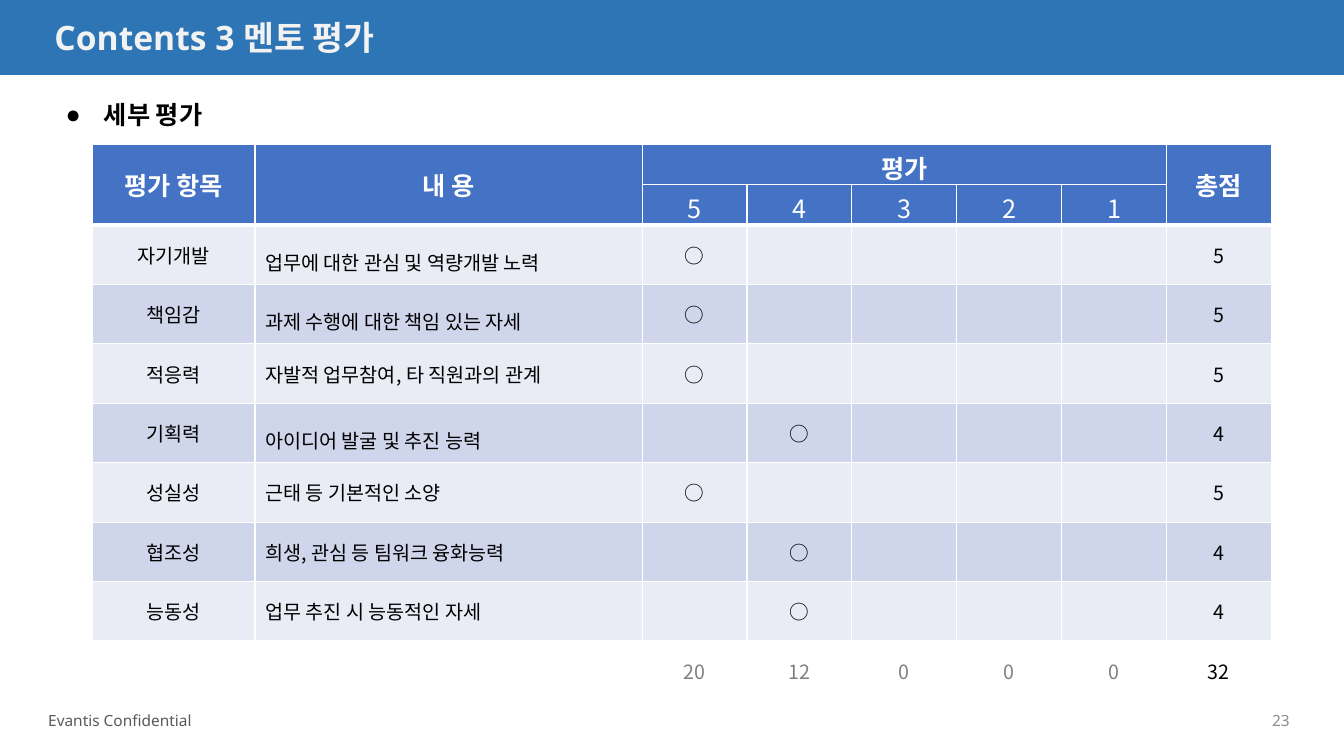
from lxml.etree import SubElement
from pptx import Presentation
from pptx.dml.color import RGBColor
from pptx.enum.shapes import MSO_SHAPE
from pptx.enum.text import MSO_ANCHOR, MSO_AUTO_SIZE, PP_ALIGN
from pptx.oxml import parse_xml
from pptx.oxml.ns import nsdecls, qn
from pptx.util import Inches, Pt

TITLE = "Contents 3 멘토 평가"
POINT = "세부 평가"
FOOT = "Evantis Confidential"
PAGE = "23"
MARKS = [5, 4, 3, 2, 1]
HEADS = [(0, 0, 1, 0, "평가 항목"), (0, 1, 1, 1, "내 용"),
         (0, 2, 0, 6, "평가"), (0, 7, 1, 7, "총점")]
ITEMS = [
    ("자기개발", "업무에 대한 관심 및 역량개발 노력", 5, 1.5),
    ("책임감", "과제 수행에 대한 책임 있는 자세", 5, 1.5),
    ("적응력", "자발적 업무참여, 타 직원과의 관계", 5, 1),
    ("기획력", "아이디어 발굴 및 추진 능력", 4, 1.5),
    ("성실성", "근태 등 기본적인 소양", 5, 1),
    ("협조성", "희생, 관심 등 팀워크 융화능력", 4, 1),
    ("능동성", "업무 추진 시 능동적인 자세", 4, 1),
]
COLS = [1.61, 3.84] + [1.04] * 6
ROWS = [0.39] * 2 + [0.59] * 8

WHITE = RGBColor(0xFF, 0xFF, 0xFF)
BLACK = RGBColor(0, 0, 0)
BAND = RGBColor(0x2E, 0x75, 0xB5)
HEAD = RGBColor(0x44, 0x72, 0xC4)
PALE = RGBColor(0xE9, 0xEB, 0xF5)
DEEP = RGBColor(0xCF, 0xD5, 0xEA)
GRAY = RGBColor(0x80, 0x80, 0x80)
INK = RGBColor(0x59, 0x59, 0x59)
SOFT = RGBColor(0x8C, 0x8C, 0x8C)
SNOW = RGBColor(0xF2, 0xF2, 0xF2)
SANS = "Noto Sans"
HAN = "Noto Sans CJK KR"


def write(frame, text, color, align=PP_ALIGN.LEFT, **form):
    para = frame.paragraphs[0]
    para.alignment = align
    run = para.add_run()
    run.text = text
    for key, value in form.items():
        setattr(run.font, key, value)
    run.font.color.rgb = color
    SubElement(run.font._element, qn("a:ea"), typeface=HAN)
    return para


def place(shape, left, top, width, height):
    spots = {"left": left, "top": top, "width": width, "height": height}
    for key, value in spots.items():
        setattr(shape, key, Inches(value))


def rule(cell, thick):
    props = cell._tc.get_or_add_tcPr()
    for spot, side in enumerate("LRTB"):
        width = Pt(thick.get(side, 1))
        line = parse_xml(
            f'<a:ln{side} {nsdecls("a")} w="{width}"><a:solidFill>'
            f'<a:srgbClr val="{WHITE}"/></a:solidFill></a:ln{side}>')
        props.insert(spot, line)


deck = Presentation()
deck.slide_width, deck.slide_height = Inches(13.33), Inches(7.5)
slide = deck.slides.add_slide(deck.slide_layouts[1])

band = slide.shapes.add_shape(MSO_SHAPE.RECTANGLE, 0, 0, deck.slide_width, Inches(0.74))
band.shadow.inherit = False
band.fill.solid()
band.fill.fore_color.rgb = BAND
band.line.color.rgb = BAND
band.line.width = Pt(1)
slide.shapes._spTree.insert(2, band._element)

title, body = slide.placeholders
place(title, 0.44, 0.12, 10.55, 0.5)
place(body, 0.55, 0.85, 6.56, 0.46)
for shape in (title, body):
    for key, value in {"auto_size": MSO_AUTO_SIZE.NONE, "word_wrap": True,
                       "vertical_anchor": MSO_ANCHOR.TOP}.items():
        setattr(shape.text_frame, key, value)
write(title.text_frame, TITLE, SNOW, size=Pt(24), bold=True, name=SANS)
para = write(body.text_frame, POINT, BLACK, size=Pt(18), bold=True, name="Arial")
props = para._p.get_or_add_pPr()
props.set("marL", str(Inches(0.38)))
props.set("indent", str(-Inches(0.38)))
SubElement(props, qn("a:buChar"), char="●")
para.line_spacing = 1.3
para.space_before = Pt(0)

for text, left, width, color, align in [
        (FOOT, 0.38, 3.27, INK, PP_ALIGN.LEFT), (PAGE, 9.42, 3.47, SOFT, PP_ALIGN.RIGHT)]:
    box = slide.shapes.add_textbox(Inches(left), Inches(6.95), Inches(width), Inches(0.4))
    box.text_frame.word_wrap = True
    box.text_frame.vertical_anchor = MSO_ANCHOR.MIDDLE
    write(box.text_frame, text, color, align, size=Pt(11), name=SANS)

table = slide.shapes.add_table(
    len(ROWS), len(COLS), Inches(0.92), Inches(1.43),
    Inches(sum(COLS)), Inches(sum(ROWS))).table
for col, width in zip(table.columns, COLS):
    col.width = Inches(width)
for row, height in zip(table.rows, ROWS):
    row.height = Inches(height)

last = len(ROWS) - 1
fills = [HEAD] * 2 + [DEEP if n % 2 else PALE for n in range(len(ITEMS))] + [WHITE]
for r, color in enumerate(fills):
    for c in range(len(COLS)):
        cell = table.cell(r, c)
        cell.vertical_anchor = MSO_ANCHOR.MIDDLE
        cell.fill.solid()
        cell.fill.fore_color.rgb = color
        edge = {"B": 3} if r == 1 or (r == 0 and c in (0, 1, 7)) else {}
        rule(cell, {"T": 3} if r == 2 else edge)

for top, left, end, right, text in HEADS:
    cell = table.cell(top, left)
    cell.merge(table.cell(end, right))
    write(cell.text_frame, text, WHITE, PP_ALIGN.CENTER,
          size=Pt(18), bold=True, name="Calibri")
table.cell(last, 0).merge(table.cell(last, 1))

for c, mark in enumerate(MARKS, 2):
    write(table.cell(1, c).text_frame, str(mark), WHITE, PP_ALIGN.CENTER,
          size=Pt(18), bold=False, name=HAN)

plain = {"size": Pt(14), "bold": False, "name": HAN}
for r, (name, note, score, space) in enumerate(ITEMS, 2):
    para = write(table.cell(r, 1).text_frame, note, BLACK, **plain)
    para.line_spacing = space
    for c, text in [(0, name), (2 + MARKS.index(score), "○"), (7, str(score))]:
        write(table.cell(r, c).text_frame, text, BLACK, PP_ALIGN.CENTER, **plain)

scores = [item[2] for item in ITEMS]
sums = [mark * scores.count(mark) for mark in MARKS]
for c, total in enumerate(sums + [sum(scores)], 2):
    color = BLACK if c == 7 else GRAY
    write(table.cell(last, c).text_frame, str(total), color, PP_ALIGN.CENTER, **plain)

deck.save("out.pptx")
